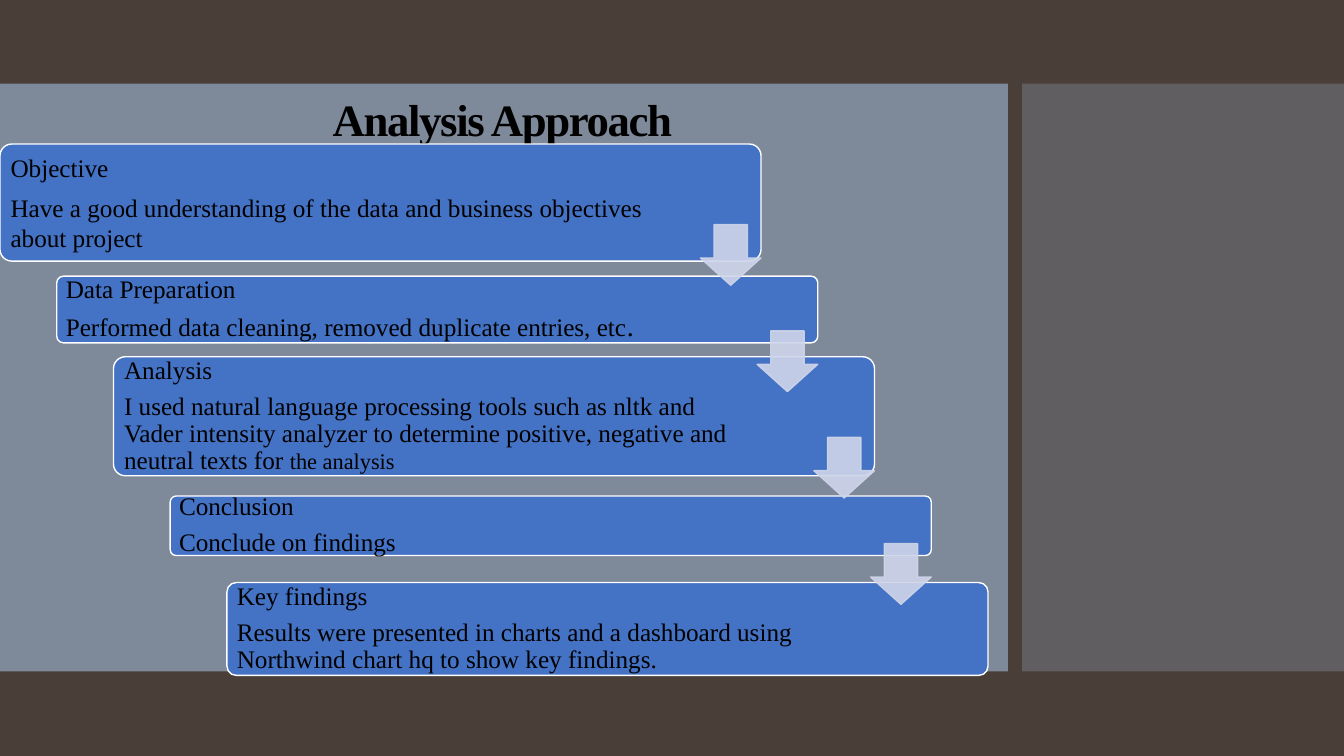
import pptx
import pptx.util
import pptx.dml.color
import pptx.enum.shapes
import pptx.enum.text
import pptx.oxml.ns
import lxml.etree
import dataclasses

Cm = pptx.util.Cm
Pt = pptx.util.Pt
Kind = pptx.enum.shapes.MSO_SHAPE
Align = pptx.enum.text.PP_ALIGN
Anchor = pptx.enum.text.MSO_ANCHOR


@dataclasses.dataclass
class Theme:
    font: str = "Times New Roman"
    back: str = "4A3F38"
    panel: str = "818E9F"
    bar: str = "4472C4"
    edge: str = "FFFFFF"
    arrow: str = "CFD5EA"
    ink: str = "000000"
    head: int = 32
    body: int = 18


def color(code):
    return pptx.dml.color.RGBColor.from_string(code)


def apply(item, values):
    for name, value in values.items():
        setattr(item, name, value)


def fade(fill, alpha):
    """Set the opacity of a solid fill, in percent."""
    tag = pptx.oxml.ns.qn("a:alpha")
    node = fill.fore_color._xFill[0]
    lxml.etree.SubElement(node, tag).set("val", str(alpha * 1000))


class Deck:
    def __init__(self, theme):
        self.theme = theme
        self.show = pptx.Presentation()
        apply(self.show, {"slide_width": Cm(33.87), "slide_height": Cm(19.05)})
        self.slide = self.show.slides.add_slide(self.show.slide_layouts[5])
        self.paint(self.slide.background.fill, theme.back)

    def paint(self, fill, code, alpha=100):
        fill.solid()
        fill.fore_color.rgb = color(code)
        if alpha < 100:
            fade(fill, alpha)

    def shape(self, kind, box, fill, alpha=100, line=None, adjust=()):
        item = self.slide.shapes.add_shape(kind, *map(Cm, box))
        item.shadow.inherit = False
        for spot, value in enumerate(adjust):
            item.adjustments[spot] = value
        self.paint(item.fill, fill, alpha)
        if line:
            self.paint(item.line.fill, line, alpha)
            item.line.width = Pt(1)
        else:
            item.line.fill.background()
        return item

    def run(self, para, text, size, bold=False):
        run = para.add_run()
        run.text = text
        apply(run.font, {"name": self.theme.font, "size": Pt(size), "bold": bold})
        run.font.color.rgb = color(self.theme.ink)
        return run

    def title(self, text, box):
        item = self.slide.shapes.title
        apply(item, dict(zip(("left", "top", "width", "height"), map(Cm, box))))
        apply(item.text_frame, {
            "word_wrap": True, "vertical_anchor": Anchor.BOTTOM,
            "auto_size": pptx.enum.text.MSO_AUTO_SIZE.NONE})
        para = item.text_frame.paragraphs[0]
        apply(para, {"alignment": Align.CENTER, "line_spacing": 0.9})
        run = self.run(para, text, self.theme.head, True)
        run.font._element.set("spc", "-100")
        # Bring the title in front of the panels
        item._element.getparent().append(item._element)

    def step(self, box, lines, right, pitch):
        item = self.shape(Kind.ROUNDED_RECTANGLE, box, self.theme.bar,
                          line=self.theme.edge, adjust=(0.1,))
        frame = item.text_frame
        apply(frame, {
            "word_wrap": True, "vertical_anchor": Anchor.MIDDLE,
            "margin_left": Cm(0.18), "margin_right": Cm(right),
            "margin_top": Cm(0.18), "margin_bottom": Cm(0.18)})
        for spot, runs in enumerate(lines):
            para = frame.add_paragraph() if spot else frame.paragraphs[0]
            apply(para, {"alignment": Align.LEFT, "line_spacing": pitch,
                         "space_after": Pt(6.3)})
            for text, size in runs:
                self.run(para, text, size)

    def arrow(self, box):
        self.shape(Kind.DOWN_ARROW, box, self.theme.arrow, 90,
                   self.theme.arrow, (0.55, 0.45))


theme = Theme()
deck = Deck(theme)

# Panels and title
for left, width, alpha in ((0, 25.4, 95), (25.76, 8.11, 40)):
    deck.shape(Kind.RECTANGLE, (left, 2.11, width, 14.81), theme.panel, alpha)
deck.title("Analysis Approach", (0, 2.18, 25.32, 1.63))

# Steps: top, height, right margin, line spacing, heading, text runs
size = theme.body
steps = [
    (3.63, 2.95, 2.87, 1.0, "Objective",
     [("Have a good understanding of the data and business objectives "
       "about project", size)]),
    (6.96, 1.68, 3.1, 0.9, "Data Preparation",
     [("Performed data cleaning, removed duplicate entries, etc", size),
      (".", 20)]),
    (8.99, 3.0, 3.1, 0.9, "Analysis",
     [("I used natural language processing tools such as nltk and Vader "
       "intensity analyzer to determine positive, negative and neutral "
       "texts for ", size), ("the analysis", 16)]),
    (12.5, 1.5, 3.1, 0.9, "Conclusion", [("Conclude on findings", size)]),
    (14.68, 2.34, 3.1, 0.9, "Key findings",
     [("Results were presented in charts and a dashboard using "
       "Northwind chart hq to show key findings.", size)]),
]
shift = 1.43
for spot, (top, height, right, pitch, head, runs) in enumerate(steps):
    deck.step((spot * shift, top, 19.18, height),
              [[(head, size)], runs], right, pitch)

# Arrows between the steps
for spot in range(len(steps) - 1):
    deck.arrow((17.65 + spot * shift, 5.66 + spot * 2.68, 1.53, 1.53))

deck.show.save("out.pptx")
